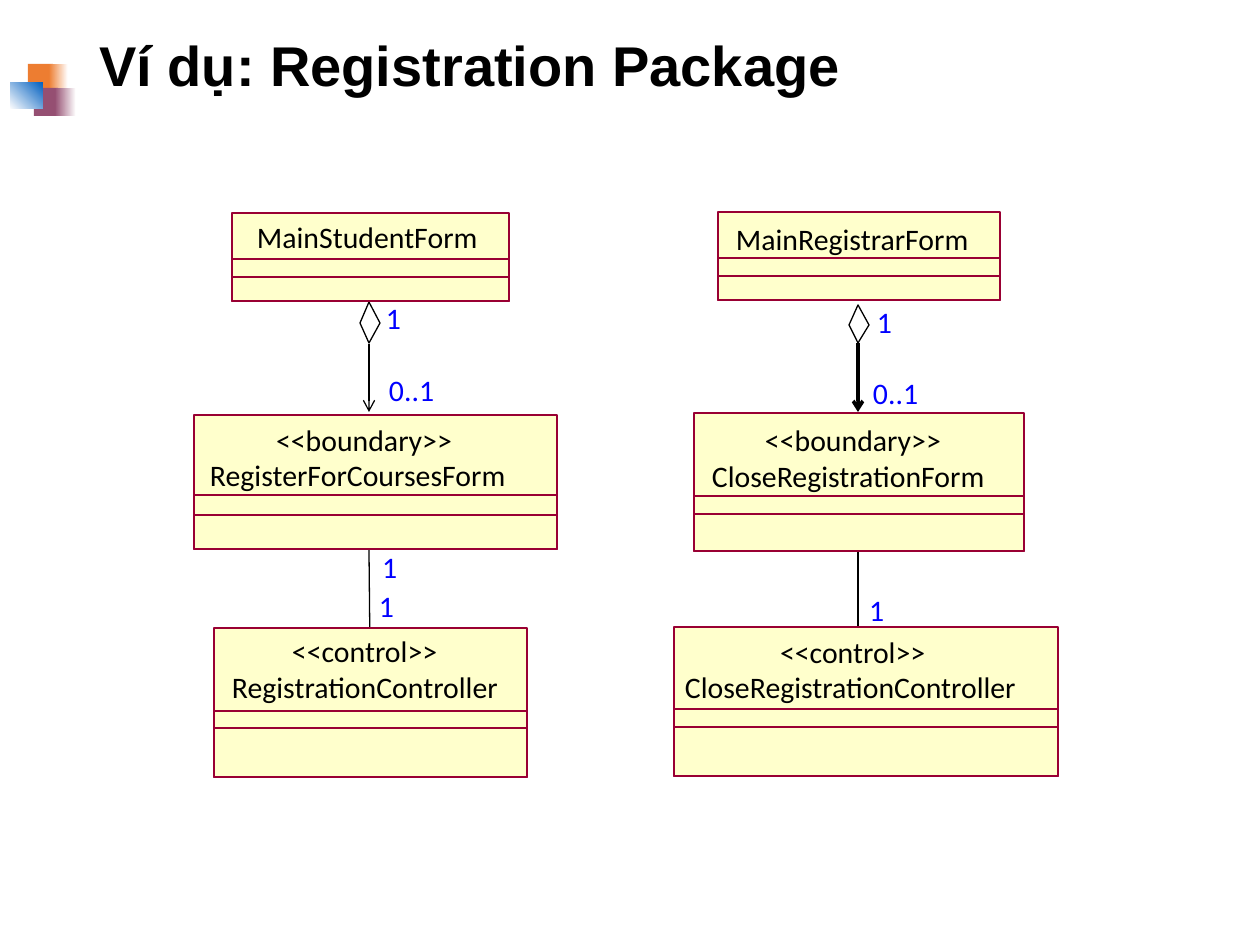
"""Build a slide with the class diagram of the registration package."""
from dataclasses import dataclass

from lxml.etree import SubElement
from pptx import Presentation
from pptx.dml.color import RGBColor
from pptx.enum.shapes import MSO_CONNECTOR as Connector, MSO_SHAPE as Preset
from pptx.enum.text import MSO_ANCHOR as Anchor, MSO_AUTO_SIZE as AutoSize
from pptx.oxml.ns import qn
from pptx.util import Emu, Inches, Pt

PIXEL = Inches(1) / 126
COLORS = {
    "paper": "FFFFFF", "ink": "000000", "multiplicity": "0000FF",
    "class": "FFFFCC", "border": "990033",
    "orange": "ED7D31", "plum": "954F72", "blue": "0563C1",
}


@dataclass
class Label:
    text: str
    left: int
    top: int
    width: int
    color: str = "ink"


@dataclass
class ClassBox:
    left: int
    top: int
    width: int
    height: int
    attributes_top: int
    operations_top: int
    labels: list[Label]


@dataclass
class Link:
    start: tuple[int, int]
    end: tuple[int, int]
    weight: float = 0.75
    arrow: bool = False


@dataclass
class Tile:
    left: int
    top: int
    width: int
    height: int
    start: str
    end: str = ""
    angle: int = 0


TILES = [
    Tile(28, 64, 25, 28, "orange"),
    Tile(49, 64, 19, 28, "orange", "paper"),
    Tile(34, 88, 24, 28, "plum"),
    Tile(55, 88, 21, 28, "plum", "paper"),
    Tile(10, 83, 33, 26, "paper", "blue", 45),
]
CLASSES = [
    ClassBox(718, 212, 282, 88, 258, 276, [Label("MainRegistrarForm", 736, 221, 255)]),
    ClassBox(232, 213, 277, 88, 259, 277, [Label("MainStudentForm", 257, 219, 237)]),
    ClassBox(194, 415, 363, 134, 495, 515, [
        Label("<<boundary>>", 276, 422, 194), Label("RegisterForCoursesForm", 210, 457, 335)]),
    ClassBox(694, 413, 330, 138, 496, 514, [
        Label("<<boundary>>", 765, 422, 194), Label("CloseRegistrationForm", 712, 458, 305)]),
    ClassBox(674, 627, 384, 149, 709, 727, [
        Label("<<control>>", 780, 634, 159), Label("CloseRegistrationController", 685, 669, 364)]),
    ClassBox(214, 628, 313, 149, 711, 728, [
        Label("<<control>>", 292, 633, 159), Label("RegistrationController", 232, 669, 289)]),
]
LINKS = [
    Link((858, 343), (858, 412), 0, True),
    Link((858, 552), (858, 630)),
    Link((369, 549), (370, 649)),
    Link((369, 344), (369, 412), arrow=True),
]
DIAMONDS = [
    [(858, 305), (869, 325), (858, 343), (849, 325)],
    [(369, 302), (380, 323), (369, 343), (360, 323)],
]
MULTIPLICITIES = [
    Label(text, left, top, width, "multiplicity")
    for text, left, top, width in [
        ("1", 877, 304, 16), ("0..1", 873, 375, 50), ("1", 869, 592, 16),
        ("1", 386, 300, 16), ("0..1", 389, 372, 50), ("1", 382, 549, 16),
        ("1", 379, 588, 16),
    ]
]


def px(*lengths: int) -> list[Emu]:
    """Turn pixel lengths into EMU."""
    return [Emu(round(length * PIXEL)) for length in lengths]


def rgb(name: str) -> RGBColor:
    """Look up a colour."""
    return RGBColor.from_string(COLORS[name])


def draw_tile(shapes, tile: Tile) -> None:
    """Draw one square of the title ornament."""
    square = shapes.add_shape(
        Preset.RECTANGLE, *px(tile.left, tile.top, tile.width, tile.height))
    square.shadow.inherit = False
    square.line.fill.background()
    if not tile.end:
        square.fill.solid()
        square.fill.fore_color.rgb = rgb(tile.start)
        return
    square.fill.gradient()
    square.fill.gradient_angle = tile.angle
    for stop, name in zip(square.fill.gradient_stops, (tile.start, tile.end)):
        stop.color.rgb = rgb(name)


def draw_title(shapes, text: str) -> None:
    """Write the slide title."""
    frame = shapes.add_textbox(*px(87, 19, 1086, 98)).text_frame
    frame.word_wrap = True
    frame.vertical_anchor = Anchor.MIDDLE
    frame.text = text
    frame.paragraphs[0].line_spacing = 0.9
    font = frame.paragraphs[0].runs[0].font
    font.name, font.size, font.bold = "Arial", Pt(32), True
    font.color.rgb = rgb("ink")


def draw_label(shapes, label: Label) -> None:
    """Write one unwrapped line of diagram text."""
    frame = shapes.add_textbox(*px(label.left, label.top, label.width, 36)).text_frame
    frame.margin_left = frame.margin_right = frame.margin_top = frame.margin_bottom = 0
    frame.word_wrap = False
    frame.auto_size = AutoSize.SHAPE_TO_FIT_TEXT
    frame.text = label.text
    font = frame.paragraphs[0].runs[0].font
    font.name, font.size = "Calibri", Pt(17)
    font.color.rgb = rgb(label.color)


def draw_class(shapes, box: ClassBox) -> None:
    """Draw a class with its nested compartments and its labels."""
    bottom = box.top + box.height
    for top in (box.top, box.attributes_top, box.operations_top):
        section = shapes.add_shape(
            Preset.RECTANGLE, *px(box.left, top, box.width, bottom - top))
        section.shadow.inherit = False
        section.line.color.rgb = rgb("border")
        section.line.width = Pt(1)
        if top == box.top:
            section.fill.solid()
            section.fill.fore_color.rgb = rgb("class")
        else:
            section.fill.background()
    for label in box.labels:
        draw_label(shapes, label)


def draw_link(shapes, link: Link) -> None:
    """Draw an association, with an open arrowhead if it is directed."""
    line = shapes.add_connector(Connector.STRAIGHT, *px(*link.start, *link.end))
    line.line.color.rgb = rgb("ink")
    line.line.width = Pt(link.weight)
    properties = line._element.spPr
    if link.arrow:
        SubElement(properties.find(qn("a:ln")), qn("a:tailEnd"), type="arrow")
    SubElement(properties, qn("a:effectLst"))


def draw_diamond(shapes, corners: list[tuple[int, int]]) -> None:
    """Draw the hollow diamond of an aggregation."""
    builder = shapes.build_freeform(*corners[0], scale=PIXEL)
    builder.add_line_segments(corners[1:], close=True)
    diamond = builder.convert_to_shape()
    diamond.shadow.inherit = False
    diamond.fill.background()
    diamond.line.color.rgb = rgb("ink")
    diamond.line.width = Pt(0)


def main() -> None:
    """Build and save the slide."""
    deck = Presentation()
    deck.slide_width, deck.slide_height = px(1260, 945)
    shapes = deck.slides.add_slide(deck.slide_layouts[6]).shapes
    for tile in TILES:
        draw_tile(shapes, tile)
    draw_title(shapes, "Ví dụ: Registration Package")
    for draw, parts in ((draw_link, LINKS), (draw_diamond, DIAMONDS),
                        (draw_class, CLASSES), (draw_label, MULTIPLICITIES)):
        for part in parts:
            draw(shapes, part)
    deck.save("out.pptx")


main()
